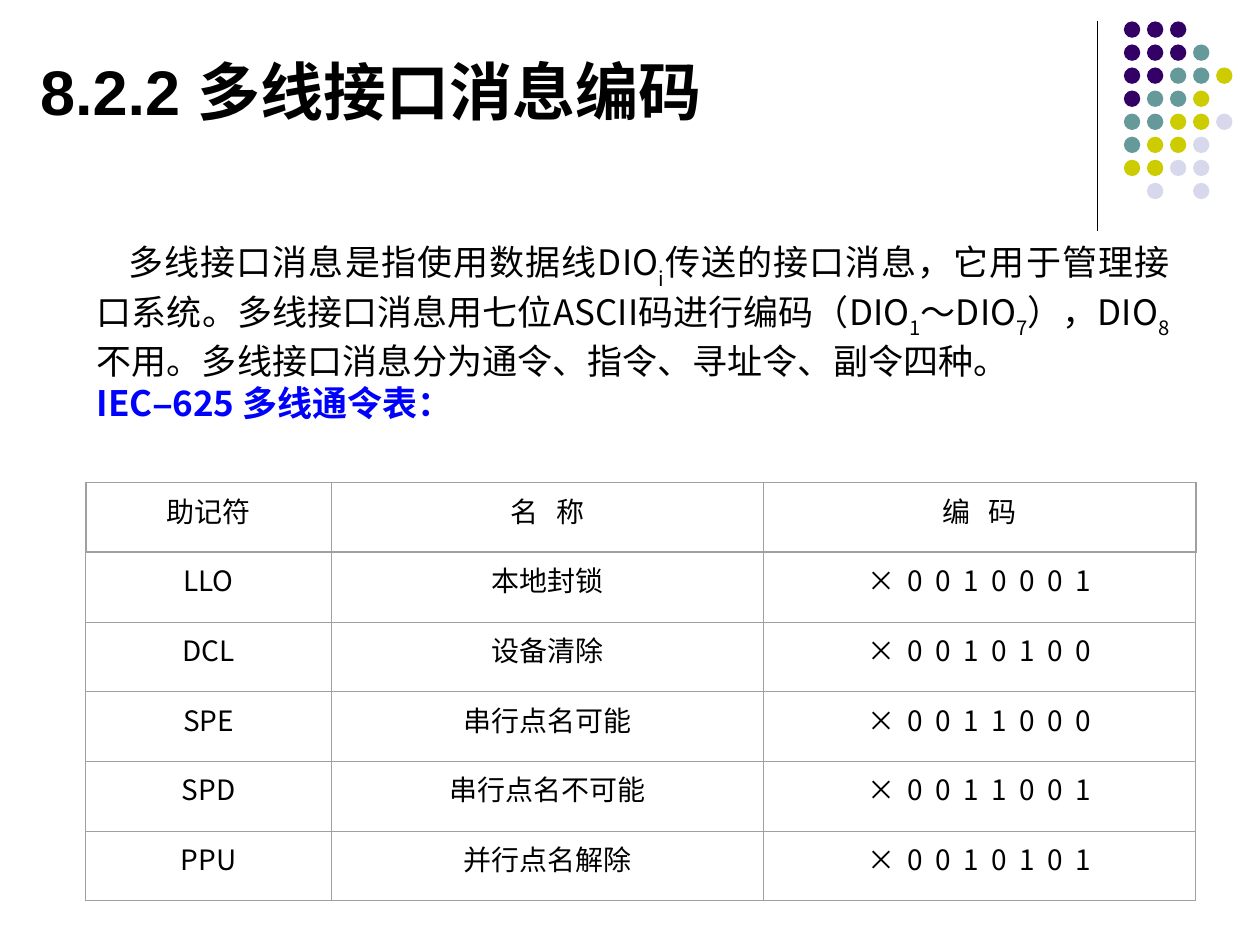
from dataclasses import dataclass

import lxml.etree
import pptx
import pptx.dml.color
import pptx.enum.shapes
import pptx.enum.text
import pptx.oxml.ns
import pptx.util

Inches = pptx.util.Inches
Pt = pptx.util.Pt
Align = pptx.enum.text.PP_ALIGN
Anchor = pptx.enum.text.MSO_ANCHOR
qn = pptx.oxml.ns.qn

SLIDE_W, SLIDE_H = 10, 7.5
CJK = "Noto Sans CJK SC"
BLACK, BLUE, GREY = "000000", "0000FF", "A0A0A0"

DOT_COLOURS = {"P": "330066", "T": "669999", "Y": "CCCC00", "L": "D8D8EC"}
DOT_ROWS = ["PPP", "PPPT", "PPTTY", "PTTY", "TTYYL", "TYYL", "YYLL", " L L"]
DOT_LEFT, DOT_TOP, DOT_PITCH, DOT_SIZE = 8.92, 0.17, 0.183, 0.13

TABLE_LEFT, TABLE_TOP, TABLE_H = 0.68, 3.83, 3.32
COLUMN_WIDTHS = [1.95, 3.43, 3.43]
HEADINGS = ["助记符", "名 称", "编 码"]
HEADING_SPACING, CODE_SPACING = 3.6, 1.8


@dataclass
class Command:
    mnemonic: str
    name: str
    code: str


COMMANDS = [
    Command("LLO", "本地封锁", "×0010001"),
    Command("DCL", "设备清除", "×0010100"),
    Command("SPE", "串行点名可能", "×0011000"),
    Command("SPD", "串行点名不可能", "×0011001"),
    Command("PPU", "并行点名解除", "×0010101"),
]


def rgb(colour: str) -> pptx.dml.color.RGBColor:
    return pptx.dml.color.RGBColor.from_string(colour)


def add_text(paragraph, text: str, *, size: float, font: str = CJK,
             colour: str = BLACK, bold: bool = False,
             subscript: bool = False, spacing: float = 0) -> None:
    """Append a run; spacing is extra points after each character."""
    run = paragraph.add_run()
    run.text = text
    run.font.size = Pt(size)
    run.font.bold = bold
    run.font.color.rgb = rgb(colour)
    run.font.name = font
    properties = run._r.get_or_add_rPr()
    lxml.etree.SubElement(properties, qn("a:ea"), typeface=CJK)
    if subscript:
        properties.set("baseline", "-30000")
    if spacing:
        properties.set("spc", str(round(spacing * 100)))


def add_frame(slide, left: float, top: float, width: float, height: float,
              *, wrap: bool, anchor: Anchor):
    box = slide.shapes.add_textbox(Inches(left), Inches(top),
                                   Inches(width), Inches(height))
    box.text_frame.word_wrap = wrap
    box.text_frame.vertical_anchor = anchor
    return box.text_frame


def draw_corner(slide) -> None:
    rule = slide.shapes.add_connector(
        pptx.enum.shapes.MSO_CONNECTOR.STRAIGHT,
        Inches(8.71), Inches(0.17), Inches(8.71), Inches(1.83))
    rule.line.color.rgb = rgb(BLACK)
    rule.line.width = Pt(0.75)
    lxml.etree.SubElement(rule._element.spPr, qn("a:effectLst"))

    dots = slide.shapes.add_group_shape()
    for row, colours in enumerate(DOT_ROWS):
        for column, key in enumerate(colours):
            if key == " ":
                continue
            dot = dots.shapes.add_shape(
                pptx.enum.shapes.MSO_SHAPE.OVAL,
                Inches(DOT_LEFT + column * DOT_PITCH),
                Inches(DOT_TOP + row * DOT_PITCH),
                Inches(DOT_SIZE), Inches(DOT_SIZE))
            dot.shadow.inherit = False
            dot.fill.solid()
            dot.fill.fore_color.rgb = rgb(DOT_COLOURS[key])
            dot.line.fill.background()


def draw_title(slide) -> None:
    frame = add_frame(slide, 0.22, 0.37, 5.57, 0.7,
                      wrap=False, anchor=Anchor.MIDDLE)
    add_text(frame.paragraphs[0], "8.2.2 多线接口消息编码",
             size=36, font="Arial", bold=True)


def draw_explanation(slide) -> None:
    frame = add_frame(slide, 0.67, 1.86, 8.71, 1.61,
                      wrap=True, anchor=Anchor.TOP)
    definition = frame.paragraphs[0]
    definition.alignment = Align.JUSTIFY
    definition._p.get_or_add_pPr().set("indent", str(Inches(0.25)))
    pieces = [
        ("多线接口消息是指使用数据线DIO", "i"),
        ("传送的接口消息，它用于管理接口系统。"
         "多线接口消息用七位ASCII码进行编码（DIO", "1"),
        ("～DIO", "7"),
        ("），DIO", "8"),
        ("不用。多线接口消息分为通令、指令、寻址令、副令四种。", ""),
    ]
    for text, index in pieces:
        add_text(definition, text, size=20)
        if index:
            add_text(definition, index, size=20, subscript=True)

    caption = frame.add_paragraph()
    caption.alignment = Align.JUSTIFY
    for text, font in [("IEC", CJK), ("–", "Arial"),
                       ("625 多线通令表", CJK), ("：", "Times New Roman")]:
        add_text(caption, text, size=20, font=font, colour=BLUE, bold=True)


def set_borders(cell, widths: dict[str, float]) -> None:
    """Give each side (L, R, T, B) a grey line of its width in points."""
    properties = cell._tc.get_or_add_tcPr()
    for side, width in widths.items():
        line = lxml.etree.SubElement(properties, qn(f"a:ln{side}"),
                                     w=str(Pt(width)))
        fill = lxml.etree.SubElement(line, qn("a:solidFill"))
        lxml.etree.SubElement(fill, qn("a:srgbClr"), val=GREY)


def draw_commands(slide) -> None:
    rows = [HEADINGS] + [[c.mnemonic, c.name, " ".join(c.code)]
                         for c in COMMANDS]
    last_column = len(HEADINGS) - 1
    table = slide.shapes.add_table(
        len(rows), len(HEADINGS), Inches(TABLE_LEFT), Inches(TABLE_TOP),
        Inches(sum(COLUMN_WIDTHS)), Inches(TABLE_H)).table
    table.first_row = False
    table.horz_banding = False
    for column, width in zip(table.columns, COLUMN_WIDTHS):
        column.width = Inches(width)

    for r, texts in enumerate(rows):
        table.rows[r].height = Inches(TABLE_H / len(rows))
        for c, text in enumerate(texts):
            cell = table.cell(r, c)
            header = r == 0
            thin, thick = 0.5, 1.25
            set_borders(cell, {
                "L": thick if header and c == 0 else thin,
                "R": thick if header and c == last_column else thin,
                "T": thick if r == 1 else thin,
                "B": thick if header else thin,
            })
            cell.fill.background()
            cell.vertical_anchor = Anchor.MIDDLE
            cell.margin_top = 0
            cell.margin_bottom = Inches(0.12)
            paragraph = cell.text_frame.paragraphs[0]
            paragraph.alignment = Align.CENTER
            spacing = 0
            if " " in text:
                spacing = HEADING_SPACING if header else CODE_SPACING
            add_text(paragraph, text, size=16, spacing=spacing)


def main() -> None:
    deck = pptx.Presentation()
    deck.slide_width = Inches(SLIDE_W)
    deck.slide_height = Inches(SLIDE_H)
    slide = deck.slides.add_slide(deck.slide_layouts[6])
    draw_corner(slide)
    draw_title(slide)
    draw_explanation(slide)
    draw_commands(slide)
    deck.save("out.pptx")


if __name__ == "__main__":
    main()
